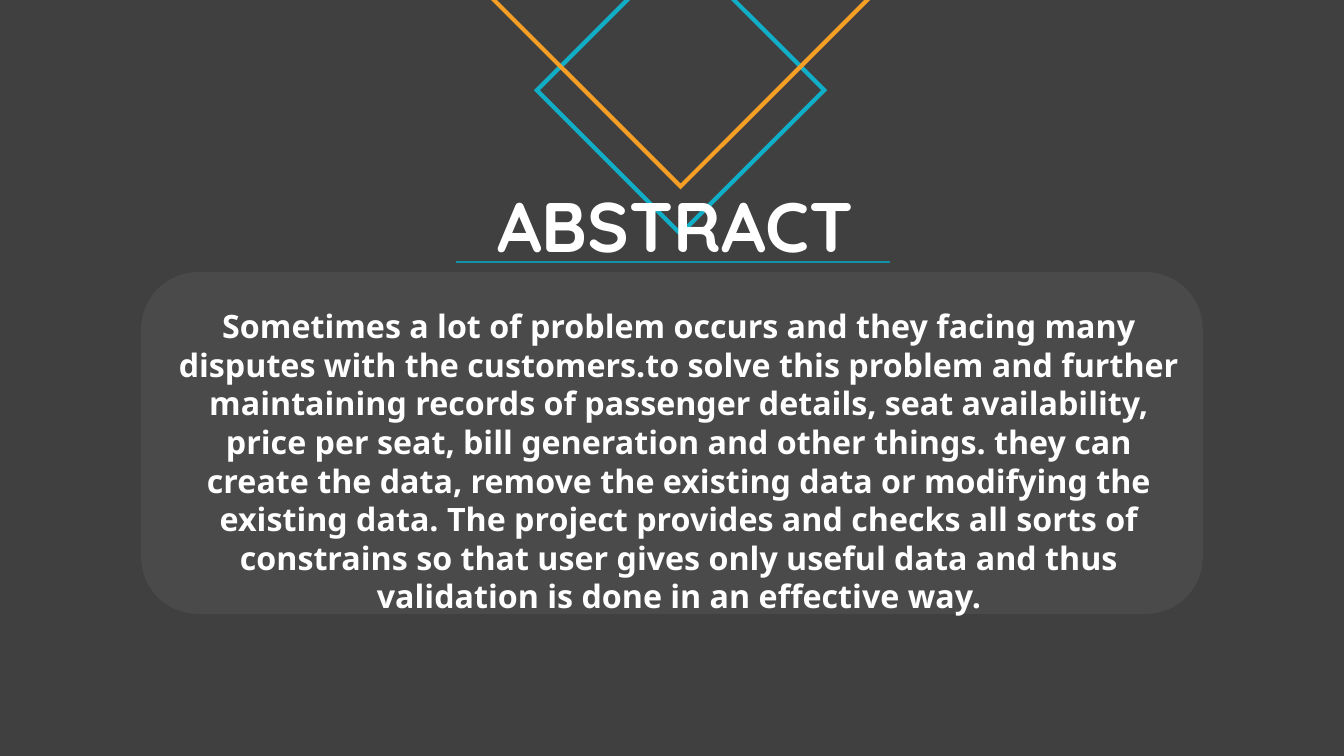
import pptx
import pptx.util
import pptx.dml.color
import pptx.enum.shapes
import pptx.enum.text
import pptx.oxml.ns
import lxml.etree

Inches = pptx.util.Inches
Pt = pptx.util.Pt
RGBColor = pptx.dml.color.RGBColor
Shape = pptx.enum.shapes.MSO_SHAPE
qn = pptx.oxml.ns.qn

DARK = RGBColor(0x40, 0x40, 0x40)
PANEL = RGBColor(0x58, 0x58, 0x58)
TEAL = RGBColor(0x11, 0xAE, 0xC7)
DEEP = RGBColor(0x0F, 0x93, 0xA9)
AMBER = RGBColor(0xF5, 0x9F, 0x26)
WHITE = RGBColor(0xFF, 0xFF, 0xFF)

BODY = (
    "Sometimes a lot of problem occurs and they facing many disputes with the "
    "customers.to solve this problem and further maintaining records of passenger "
    "details, seat availability, price per seat, bill generation and other things. "
    "they can create the data, remove the existing data or modifying the existing "
    "data. The project provides and checks all sorts of constrains so that user "
    "gives only useful data and thus validation is done in an effective way."
)


def add_text(slide, box, text, font, size):
    """Place bold white centred text in the box."""
    frame = slide.shapes.add_textbox(*map(Inches, box)).text_frame
    frame.word_wrap = True
    frame.text = text
    para = frame.paragraphs[0]
    para.alignment = pptx.enum.text.PP_ALIGN.CENTER
    style = para.runs[0].font
    style.name = font
    style.size = Pt(size)
    style.bold = True
    style.color.rgb = WHITE


def add_motif(slide, mid, tip):
    """Place the two outlined diamonds around a centre, above the lower tip."""
    for side, rise, color in ((2.85, 0, TEAL), (3.87, 0.47, AMBER)):
        gem = slide.shapes.add_shape(
            Shape.DIAMOND, Inches(mid - side / 2), Inches(tip - rise - side),
            Inches(side), Inches(side))
        gem.shadow.inherit = False
        gem.fill.background()
        gem.line.color.rgb = color
        gem.line.width = Pt(3)
        edge = gem._element.spPr.find(qn("a:ln"))
        lxml.etree.SubElement(edge, qn("a:miter")).set("lim", "800000")


def add_title(slide, left, top, width, height):
    """Place the heading in its box."""
    add_text(slide, (left, top, width, height), "ABSTRACT", "Quicksand", 50)


def add_panel(slide, left, top, width, height):
    """Place the translucent panel and its paragraph."""
    panel = slide.shapes.add_shape(
        Shape.ROUNDED_RECTANGLE, *map(Inches, (left, top, width, height)))
    panel.shadow.inherit = False
    panel.fill.solid()
    panel.fill.fore_color.rgb = PANEL
    panel.line.fill.background()
    tint = panel._element.spPr.find(qn("a:solidFill"))[0]
    lxml.etree.SubElement(tint, qn("a:alpha")).set("val", "44000")
    add_text(slide, (left + 0.24, top + 0.29, 10.2, 2.81), BODY, "Noto Sans", 23)


def add_rule(slide, left, top, width):
    """Place the line under the heading."""
    rule = slide.shapes.add_connector(
        pptx.enum.shapes.MSO_CONNECTOR.STRAIGHT,
        Inches(left), Inches(top), Inches(left + width), Inches(top))
    rule.line.color.rgb = DEEP
    rule.line.width = Pt(2)
    lxml.etree.SubElement(rule._element.spPr, qn("a:effectLst"))


def main():
    """Build and save the slide."""
    deck = pptx.Presentation()
    deck.slide_width = Inches(13.33)
    deck.slide_height = Inches(7.5)
    slide = deck.slides.add_slide(deck.slide_layouts[6])
    slide.background.fill.solid()
    slide.background.fill.fore_color.rgb = DARK
    add_motif(slide, 6.75, 2.32)
    add_title(slide, 4.24, 1.76, 4.92, 0.94)
    add_panel(slide, 1.4, 2.7, 10.53, 3.39)
    add_rule(slide, 4.52, 2.6, 4.31)
    deck.save("out.pptx")


if __name__ == "__main__":
    main()
